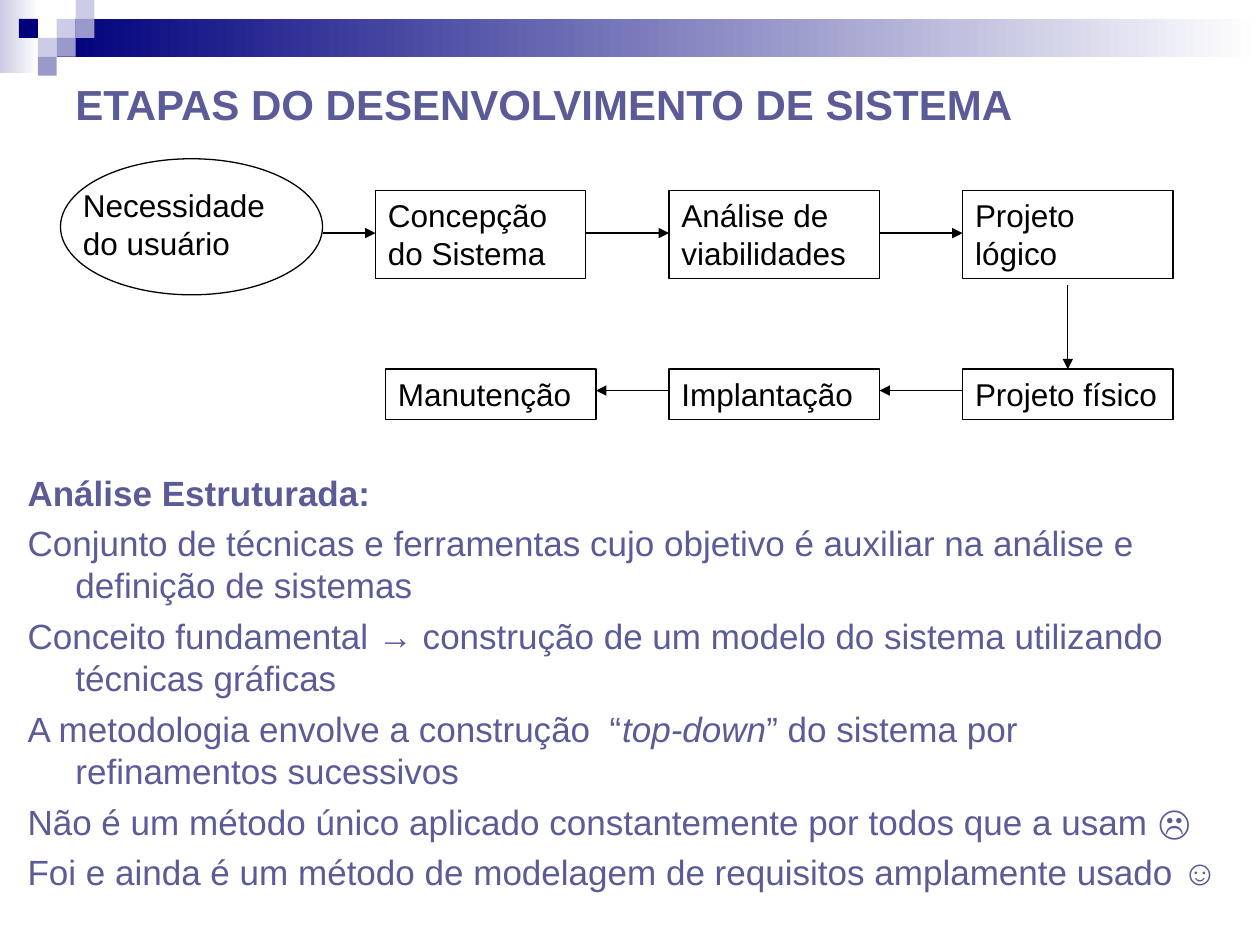
from dataclasses import dataclass

from lxml.etree import SubElement
from pptx import Presentation
from pptx.dml.color import RGBColor
from pptx.enum.shapes import MSO_CONNECTOR as Connector, MSO_SHAPE as Preset
from pptx.enum.text import MSO_ANCHOR as Anchor, PP_ALIGN as Align
from pptx.oxml.ns import qn
from pptx.util import Inches, Pt


@dataclass(frozen=True)
class Theme:
    font: str = "Arial"
    heading: str = "5B5B98"
    ink: str = "000000"
    navy: str = "00007D"
    violet: str = "9999CC"
    lilac: str = "CCCCE6"
    paper: str = "FFFFFF"
    title_size: int = 24
    body_size: int = 20
    box_size: int = 18
    line_width: float = 0.75


THEME = Theme()
WIDTH, HEIGHT = 10, 7.5

# Corner mosaic: column, row and colour of each tile
TILE = 0.15
TILES = [
    (3, 1, THEME.lilac), (4, 0, THEME.lilac), (4, 1, THEME.violet),
    (2, 2, THEME.lilac), (1, 1, THEME.navy), (3, 2, THEME.violet),
    (2, 3, THEME.violet),
]

# Flow chart grid
COLUMNS = [2.98 + 2.33 * column for column in range(3)]
BOX_WIDTH = 1.67
TOP_ROW, TOP_HEIGHT, TOP_ARROW = 1.51, 0.7, 1.85
LOW_ROW, LOW_HEIGHT, LOW_ARROW = 2.93, 0.4, 3.1
OVAL = (0.48, 1.26, 2.08, 1.08)
LAST_LEFT = COLUMNS[0] + 0.08

TOP_STEPS = ["Concepção do Sistema", "Análise de viabilidades", "Projeto lógico"]
LOW_STEPS = ["Manutenção", "Implantação", "Projeto físico"]

# Each paragraph is a list of (text, style) runs
BODY = [
    [("Análise Estruturada:", "bold")],
    [("Conjunto de técnicas e ferramentas cujo objetivo é auxiliar na "
      "análise e definição de sistemas", "")],
    [("Conceito fundamental → construção de um modelo do sistema utilizando "
      "técnicas gráficas", "")],
    [("A metodologia envolve a construção  “", ""), ("top-down", "italic"),
     ("” do sistema por refinamentos sucessivos", "")],
    [("Não é um método único aplicado constantemente por todos que a usam ☹", "")],
    [("Foi e ainda é um método de modelagem de requisitos amplamente usado ☺", "")],
]


def rgb(value):
    return RGBColor.from_string(value)


def add_preset(slide, preset, left, top, width, height):
    shape = slide.shapes.add_shape(
        preset, Inches(left), Inches(top), Inches(width), Inches(height))
    shape.shadow.inherit = False
    return shape


def add_tile(slide, column, row, color):
    shape = add_preset(slide, Preset.RECTANGLE, column * TILE, row * TILE, TILE, TILE)
    shape.fill.solid()
    shape.fill.fore_color.rgb = rgb(color)
    shape.line.fill.background()


def add_fade(slide, color, left, top, width, height):
    """Add a band that fades to the paper colour from left to right."""
    shape = add_preset(slide, Preset.RECTANGLE, left, top, width, height)
    shape.fill.gradient()
    shape.fill.gradient_angle = 0
    for stop, stop_color in zip(shape.fill.gradient_stops, (color, THEME.paper)):
        stop.color.rgb = rgb(stop_color)
    shape.line.fill.background()


def add_outline(slide, preset, *box):
    shape = add_preset(slide, preset, *box)
    shape.fill.background()
    shape.line.color.rgb = rgb(THEME.ink)
    shape.line.width = Pt(THEME.line_width)
    return shape


def add_run(paragraph, text, size, color, style=""):
    run = paragraph.add_run()
    run.text = text
    font = run.font
    font.name, font.size = THEME.font, Pt(size)
    font.color.rgb = rgb(color)
    font.bold, font.italic = style == "bold", style == "italic"


def write(shape, paragraphs, size, color, anchor=Anchor.TOP, hanging=0, gap=0):
    frame = shape.text_frame
    frame.word_wrap = True
    frame.vertical_anchor = anchor
    for index, runs in enumerate(paragraphs):
        paragraph = frame.add_paragraph() if index else frame.paragraphs[0]
        paragraph.alignment = Align.LEFT
        if index:
            paragraph.space_before = Pt(gap)
        if hanging:
            properties = paragraph._p.get_or_add_pPr()
            properties.set("marL", str(Inches(hanging)))
            properties.set("indent", str(-Inches(hanging)))
        for text, style in runs:
            add_run(paragraph, text, size, color, style)


def add_text(slide, box, paragraphs, size, color, **layout):
    shape = slide.shapes.add_textbox(*(Inches(length) for length in box))
    write(shape, paragraphs, size, color, **layout)


def add_step(slide, text, left, top, height):
    shape = add_outline(slide, Preset.RECTANGLE, left, top, BOX_WIDTH, height)
    write(shape, [[(text, "")]], THEME.box_size, THEME.ink)


def add_arrow(slide, start_x, start_y, end_x, end_y):
    arrow = slide.shapes.add_connector(
        Connector.STRAIGHT, Inches(start_x), Inches(start_y),
        Inches(end_x), Inches(end_y))
    arrow.line.color.rgb = rgb(THEME.ink)
    arrow.line.width = Pt(THEME.line_width)
    SubElement(arrow.line._get_or_add_ln(), qn("a:tailEnd"), type="triangle")
    SubElement(arrow._element.spPr, qn("a:effectLst"))


def add_banner(slide):
    add_fade(slide, THEME.lilac, 0, 0, 0.31, 0.58)
    add_fade(slide, THEME.navy, 3 * TILE, TILE, WIDTH - 3 * TILE, 2 * TILE)
    for tile in TILES:
        add_tile(slide, *tile)


def add_flow(slide):
    add_outline(slide, Preset.OVAL, *OVAL)
    add_text(slide, (0.56, 1.43, 1.92, 0.7), [[("Necessidade do usuário", "")]],
             THEME.box_size, THEME.ink)

    low_lefts = [LAST_LEFT, *COLUMNS[1:]]
    for text, left in zip(TOP_STEPS, COLUMNS):
        add_step(slide, text, left, TOP_ROW, TOP_HEIGHT)
    for text, left in zip(LOW_STEPS, low_lefts):
        add_step(slide, text, left, LOW_ROW, LOW_HEIGHT)

    top_starts = [OVAL[0] + OVAL[2]] + [left + BOX_WIDTH for left in COLUMNS[:2]]
    for start, end in zip(top_starts, COLUMNS):
        add_arrow(slide, start, TOP_ARROW, end, TOP_ARROW)
    middle = COLUMNS[2] + BOX_WIDTH / 2
    add_arrow(slide, middle, TOP_ROW + TOP_HEIGHT + 0.05, middle, LOW_ROW)
    for left, right in zip(low_lefts, low_lefts[1:]):
        add_arrow(slide, right, LOW_ARROW, left + BOX_WIDTH, LOW_ARROW)


def main():
    presentation = Presentation()
    presentation.slide_width = Inches(WIDTH)
    presentation.slide_height = Inches(HEIGHT)
    slide = presentation.slides.add_slide(presentation.slide_layouts[6])

    add_banner(slide)
    add_text(slide, (0.5, 0.5, 9, 0.65),
             [[("ETAPAS DO DESENVOLVIMENTO DE SISTEMA", "bold")]],
             THEME.title_size, THEME.heading, anchor=Anchor.MIDDLE)
    add_text(slide, (0.12, 3.69, 9.69, 3.77), BODY,
             THEME.body_size, THEME.heading, hanging=0.38, gap=5)
    add_flow(slide)
    presentation.save("out.pptx")


if __name__ == "__main__":
    main()
